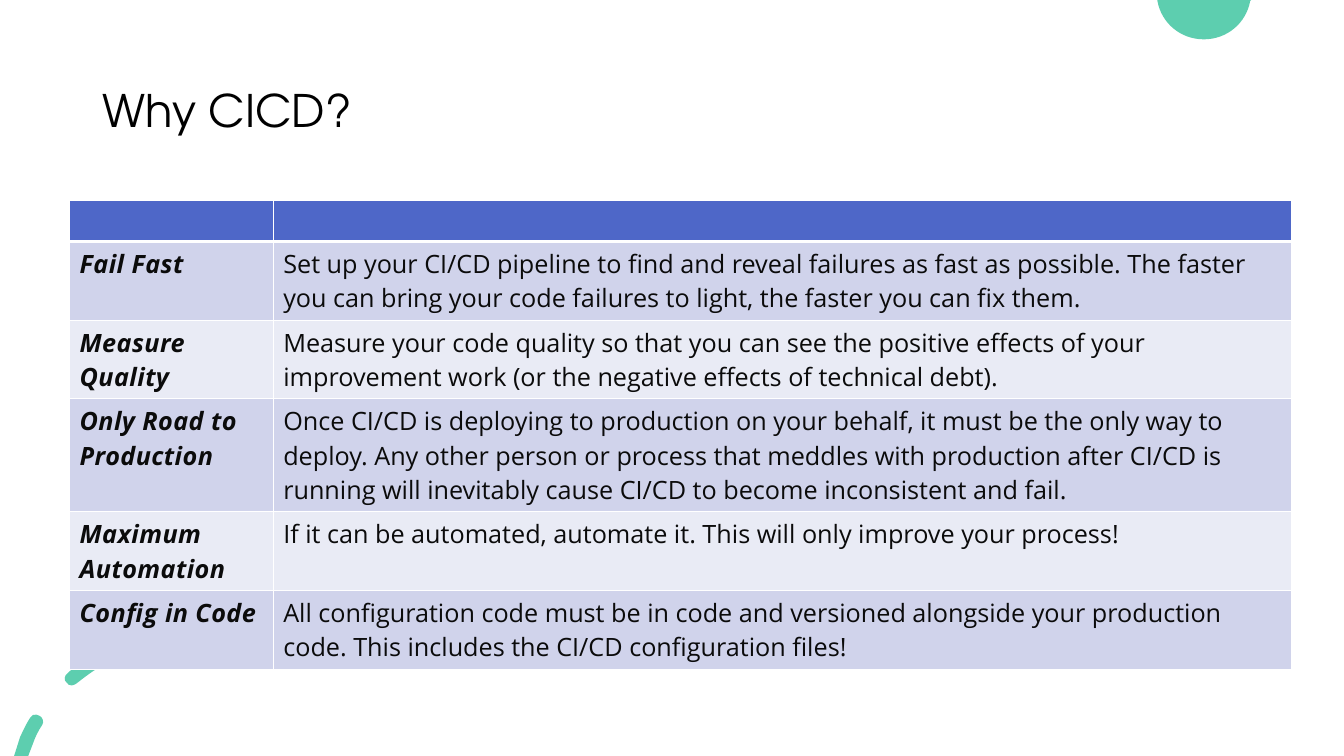
from lxml import etree
from pptx import Presentation
from pptx.dml.color import RGBColor
from pptx.enum.text import MSO_ANCHOR, PP_ALIGN
from pptx.oxml.ns import qn
from pptx.util import Inches, Pt

MIDDLE = MSO_ANCHOR.MIDDLE
LEFT = PP_ALIGN.LEFT
TITLE_ONLY = 5

THEME = {
    "accent": "5DCEAF", "header": "4E67C8", "odd": "D0D3EB", "even": "E9EBF5",
    "border": "FFFFFF", "title": "000000", "text": "0B0B0B",
    "title_font": "TeX Gyre Adventor", "body_font": "Open Sans",
    "title_size": 32, "body_size": 18,
}

REASONS = [
    ("Fail Fast",
     "Set up your CI/CD pipeline to find and reveal failures as fast as possible. "
     "The faster you can bring your code failures to light, the faster you can fix them."),
    ("Measure Quality",
     "Measure your code quality so that you can see the positive effects of your "
     "improvement work (or the negative effects of technical debt)."),
    ("Only Road to Production",
     "Once CI/CD is deploying to production on your behalf, it must be the only way to "
     "deploy. Any other person or process that meddles with production after CI/CD is "
     "running will inevitably cause CI/CD to become inconsistent and fail."),
    ("Maximum Automation",
     "If it can be automated, automate it. This will only improve your process!"),
    ("Config in Code",
     "All configuration code must be in code and versioned alongside your production "
     "code. This includes the CI/CD configuration files!"),
]

# Each contour is a start point, then lines (2 numbers) and cubic curves (6 numbers).
TOP_CIRCLE = [
    [(11.48, 0), (12.41, 0), (12.4, 0.01), (12.36, 0.23, 12.17, 0.39, 11.94, 0.39),
     (11.71, 0.39, 11.52, 0.23, 11.48, 0.01)],
]
DASHED_ARC = [
    [(0.36, 7.09), (0.34, 7.08, 0.31, 7.1, 0.3, 7.12),
     (0.26, 7.18, 0.23, 7.25, 0.2, 7.31), (0.14, 7.5), (0.28, 7.5), (0.33, 7.37),
     (0.35, 7.31, 0.38, 7.25, 0.42, 7.19), (0.44, 7.16, 0.42, 7.11, 0.39, 7.1),
     (0.38, 7.09, 0.37, 7.09, 0.36, 7.09)],
    [(1.05, 6.43), (1.04, 6.43, 1.03, 6.43, 1.03, 6.44),
     (0.9, 6.5, 0.77, 6.58, 0.67, 6.68), (0.64, 6.7, 0.63, 6.75, 0.66, 6.77),
     (0.67, 6.79, 0.69, 6.8, 0.71, 6.8), (0.73, 6.8, 0.74, 6.79, 0.76, 6.78),
     (0.86, 6.7, 0.97, 6.62, 1.09, 6.56), (1.12, 6.54, 1.14, 6.5, 1.12, 6.47),
     (1.11, 6.44, 1.08, 6.43, 1.05, 6.43)],
    [(1.79, 6.25), (1.72, 6.25, 1.65, 6.26, 1.58, 6.27),
     (1.54, 6.27, 1.51, 6.31, 1.52, 6.35), (1.52, 6.38, 1.55, 6.41, 1.58, 6.41),
     (1.59, 6.41, 1.59, 6.41, 1.59, 6.41), (1.73, 6.39, 1.86, 6.39, 1.99, 6.4),
     (2.03, 6.41, 2.07, 6.38, 2.07, 6.35), (2.08, 6.31, 2.05, 6.27, 2.01, 6.27),
     (1.94, 6.26, 1.86, 6.25, 1.79, 6.25)],
]


def draw_outline(page, contours, color):
    """Draw contours as one filled freeform, bending its curved segments."""
    ends = [[(Inches(segment[-2]), Inches(segment[-1])) for segment in contour]
            for contour in contours]
    builder = page.shapes.build_freeform(*ends[0][0])
    for index, points in enumerate(ends):
        if index:
            builder.move_to(*points[0])
        builder.add_line_segments(points[1:], close=False)
        builder.add_line_segments([], close=True)
    shape = builder.convert_to_shape()
    segments = [segment for contour in contours for segment in contour[1:]]
    for line, segment in zip(list(shape._element.iter(qn("a:lnTo"))), segments):
        if len(segment) == 6:
            line.tag = qn("a:cubicBezTo")
            controls = (segment[:2], segment[2:4])
            for position, (x, y) in enumerate(controls):
                point = etree.Element(qn("a:pt"), x=str(Inches(x) - shape.left),
                                      y=str(Inches(y) - shape.top))
                line.insert(position, point)
    shape.shadow.inherit = False
    shape.fill.solid()
    shape.fill.fore_color.rgb = RGBColor.from_string(color)
    shape.line.fill.background()


def write(para, text, font, size, color, bold=False, italic=False, spacing=0):
    """Add one formatted run to a paragraph; spacing is in points."""
    span = para.add_run()
    span.text = text
    span.font.name = font
    span.font.size = Pt(size)
    span.font.color.rgb = RGBColor.from_string(color)
    span.font.bold = bold
    span.font.italic = italic
    if spacing:
        span.font._element.set("spc", str(round(spacing * 100)))


deck = Presentation()
deck.slide_width = Inches(13.33)
deck.slide_height = Inches(7.5)
page = deck.slides.add_slide(deck.slide_layouts[TITLE_ONLY])

# Decoration
for contours in (TOP_CIRCLE, DASHED_ARC):
    draw_outline(page, contours, THEME["accent"])

# Title
title = page.shapes.title
title.left, title.top = Inches(0.92), Inches(0.4)
title.width, title.height = Inches(11.5), Inches(1.45)
title.text_frame.vertical_anchor = MIDDLE
title.text_frame.word_wrap = True
para = title.text_frame.paragraphs[0]
para.alignment = LEFT
para.line_spacing = 0.9
write(para, "Why CICD?", THEME["title_font"], THEME["title_size"], THEME["title"])

# Table of reasons
rows = [("", "")] + REASONS
frame = page.shapes.add_table(len(rows), 2, Inches(0.69), Inches(1.99),
                              Inches(12.12), Inches(4.21))
table = frame.table
for column, width in zip(table.columns, (2.02, 10.1)):
    column.width = Inches(width)
for row in table.rows:
    row.height = Pt(29.2)
frame.height = Inches(4.21)

for row_index, texts in enumerate(rows):
    fill = THEME["header"] if row_index == 0 else THEME["odd" if row_index % 2 else "even"]
    borders = {"a:lnL": 1, "a:lnR": 1, "a:lnT": 1, "a:lnB": 1 if row_index else 3}
    if row_index == 1:
        del borders["a:lnT"]
    for column_index, text in enumerate(texts):
        cell = table.cell(row_index, column_index)
        properties = cell._tc.get_or_add_tcPr()
        for tag, width in borders.items():
            line = etree.SubElement(properties, qn(tag), w=str(Pt(width)))
            solid = etree.SubElement(line, qn("a:solidFill"))
            etree.SubElement(solid, qn("a:srgbClr"), val=THEME["border"])
        cell.fill.solid()
        cell.fill.fore_color.rgb = RGBColor.from_string(fill)
        if text:
            is_name = column_index == 0
            write(cell.text_frame.paragraphs[0], text, THEME["body_font"],
                  THEME["body_size"], THEME["text"], bold=is_name, italic=is_name,
                  spacing=0.3 if is_name else 0)

deck.save("out.pptx")
